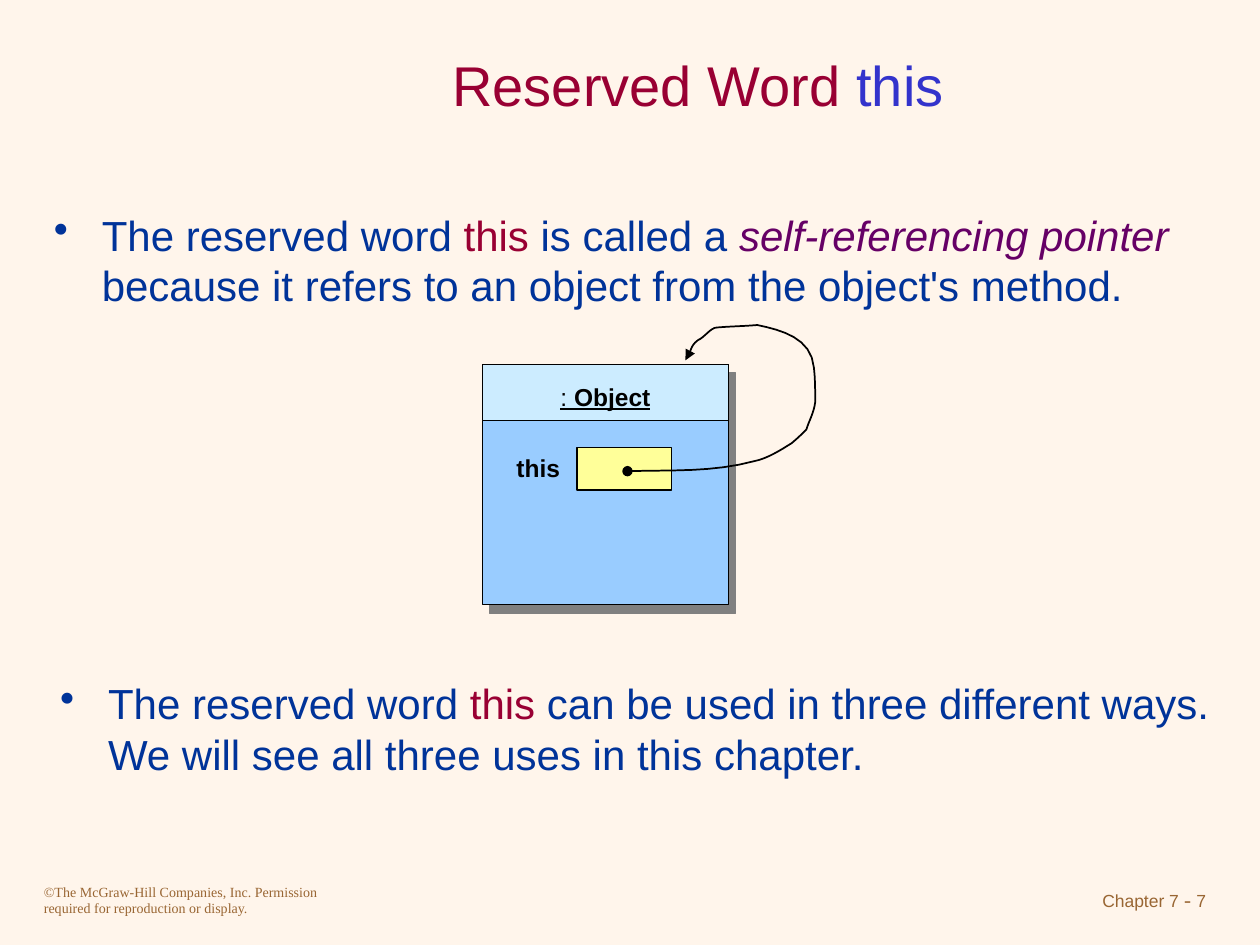
"""Build the slide on the reserved word this, with its self-reference diagram."""
from lxml import etree
from pptx import Presentation
from pptx.dml.color import RGBColor
from pptx.enum.shapes import MSO_SHAPE
from pptx.enum.text import MSO_ANCHOR, PP_ALIGN
from pptx.oxml import parse_xml
from pptx.oxml.ns import nsdecls, qn
from pptx.util import Inches, Pt

CREAM = RGBColor(0xFF, 0xF5, 0xEB)
BROWN = RGBColor(0x99, 0x66, 0x33)
CRIMSON = RGBColor(0x99, 0x00, 0x33)
VIOLET = RGBColor(0x33, 0x33, 0xCC)
NAVY = RGBColor(0x00, 0x33, 0x99)
PURPLE = RGBColor(0x66, 0x00, 0x66)
BLACK = RGBColor(0x00, 0x00, 0x00)
BLUE = RGBColor(0x99, 0xCC, 0xFF)
PALE_BLUE = RGBColor(0xCC, 0xEC, 0xFF)
YELLOW = RGBColor(0xFF, 0xFF, 0x99)


def write_text(shape, runs, size, align=PP_ALIGN.LEFT, anchor=MSO_ANCHOR.TOP,
               margin_top=0.05, bullet=False):
    """Fill a shape with runs given as (text, colour, font options)."""
    frame = shape.text_frame
    frame.word_wrap = True
    frame.vertical_anchor = anchor
    frame.margin_top = Inches(margin_top)
    paragraph = frame.paragraphs[0]
    paragraph.alignment = align
    if bullet:
        properties = paragraph._p.get_or_add_pPr()
        properties.set("marL", str(Inches(0.38)))
        properties.set("indent", str(Inches(-0.38)))
        etree.SubElement(properties, qn("a:buChar")).set("char", "•")
    for text, color, options in runs:
        run = paragraph.add_run()
        run.text = text
        font = run.font
        font.name = options.get("name", "Arial")
        font.size = Pt(options.get("size", size))
        font.color.rgb = color
        font.bold = options.get("bold", False)
        font.italic = options.get("italic", False)
        font.underline = options.get("underline", False)


presentation = Presentation()
presentation.slide_width = Inches(10)
presentation.slide_height = Inches(7.5)
slide = presentation.slides.add_slide(presentation.slide_layouts[5])
slide.background.fill.solid()
slide.background.fill.fore_color.rgb = CREAM

title = slide.shapes.title
title.left, title.top = Inches(1.5), Inches(0.25)
title.width, title.height = Inches(8.08), Inches(0.83)
write_text(title, [("Reserved Word ", CRIMSON, {}), ("this", VIOLET, {})], 32,
           align=PP_ALIGN.CENTER, anchor=MSO_ANCHOR.MIDDLE)

opening = [("The reserved word ", NAVY, {}), ("this", CRIMSON, {})]
bullets = [
    (0.33, 1.58, [
        (" is called a ", NAVY, {}),
        ("self-referencing pointer", PURPLE, {"italic": True}),
        (" because it refers to an object from the object's method.", NAVY, {}),
    ]),
    (0.38, 5.3, [
        (" can be used in three different ways. We will see all three uses "
         "in this chapter.", NAVY, {}),
    ]),
]
for left, top, ending in bullets:
    box = slide.shapes.add_textbox(Inches(left), Inches(top), Inches(9.33), Inches(0.98))
    write_text(box, opening + ending, 24, margin_top=0.08, bullet=True)

diagram = slide.shapes.add_group_shape().shapes
rectangles = [
    (3.83, 2.89, 1.95, 1.91, BLUE),
    (3.83, 2.89, 1.95, 0.45, PALE_BLUE),
    (4.58, 3.55, 0.75, 0.34, YELLOW),
]
for left, top, width, height, color in rectangles:
    rectangle = diagram.add_shape(MSO_SHAPE.RECTANGLE, Inches(left), Inches(top),
                                  Inches(width), Inches(height))
    rectangle.shadow.inherit = False
    rectangle.fill.solid()
    rectangle.fill.fore_color.rgb = color
    rectangle.line.color.rgb = BLACK
    rectangle.line.width = Pt(0.75)
    if color == BLUE:
        effects = rectangle._element.spPr.find(qn("a:effectLst"))
        effects.append(parse_xml(
            f'<a:outerShdw {nsdecls("a")} dist="{Pt(6.4)}" dir="{51 * 60000}" '
            'algn="ctr" rotWithShape="0"><a:srgbClr val="808080"/></a:outerShdw>'))

labels = [
    (4.35, 2.98, 1.06, [(": ", BLACK, {"underline": True}),
                        ("Object", BLACK, {"underline": True, "bold": True})]),
    (4, 3.55, 0.58, [("this", BLACK, {"bold": True})]),
]
for left, top, width, runs in labels:
    label = diagram.add_textbox(Inches(left), Inches(top), Inches(width), Inches(0.33))
    write_text(label, runs, 14)

start = (4.98, 3.74)
curves = [
    [(5.35, 3.73), (5.65, 3.75), (5.99, 3.66)],
    [(6.09, 3.64), (6.2, 3.57), (6.28, 3.52)],
    [(6.32, 3.49), (6.4, 3.41), (6.4, 3.41)],
    [(6.42, 3.34), (6.46, 3.28), (6.47, 3.19)],
    [(6.47, 3.1), (6.47, 3.01), (6.46, 2.92)],
    [(6.44, 2.68), (6.2, 2.62), (6.01, 2.58)],
    [(5.9, 2.59), (5.8, 2.59), (5.69, 2.6)],
    [(5.64, 2.6), (5.59, 2.68), (5.54, 2.7)],
    [(5.47, 2.75), (5.49, 2.8), (5.44, 2.86)],
]
steps = 8
points = []
origin = start
for curve in curves:
    for step in range(1, steps + 1):
        t = step / steps
        weights = ((1 - t) ** 3, 3 * t * (1 - t) ** 2, 3 * t ** 2 * (1 - t), t ** 3)
        points.append([Inches(sum(weight * value for weight, value in zip(weights, axis)))
                       for axis in zip(origin, *curve)])
    origin = curve[-1]
builder = diagram.build_freeform(Inches(start[0]), Inches(start[1]))
builder.add_line_segments(points, close=False)
pointer = builder.convert_to_shape()
pointer.shadow.inherit = False
pointer.fill.background()
pointer.line.color.rgb = BLACK
pointer.line.width = Pt(1)
outline = pointer.line._get_or_add_ln()
for tag, kind in (("a:headEnd", "oval"), ("a:tailEnd", "triangle")):
    etree.SubElement(outline, qn(tag)).set("type", kind)

footers = [
    (0.25, 2.5, PP_ALIGN.LEFT, 0.18, [
        ("©The McGraw-Hill Companies, Inc. Permission required for reproduction "
         "or display.", BROWN, {"name": "Times New Roman", "size": 8}),
    ]),
    (7.5, 2.17, PP_ALIGN.RIGHT, 0.21, [
        ("Chapter 7", BROWN, {}),
        (" - ", BROWN, {"name": "Times New Roman", "size": 12}),
        ("7", BROWN, {}),
    ]),
]
for left, width, align, margin_top, runs in footers:
    footer = slide.shapes.add_textbox(Inches(left), Inches(6.83), Inches(width), Inches(0.5))
    write_text(footer, runs, 10, align=align, margin_top=margin_top)

presentation.save("out.pptx")
